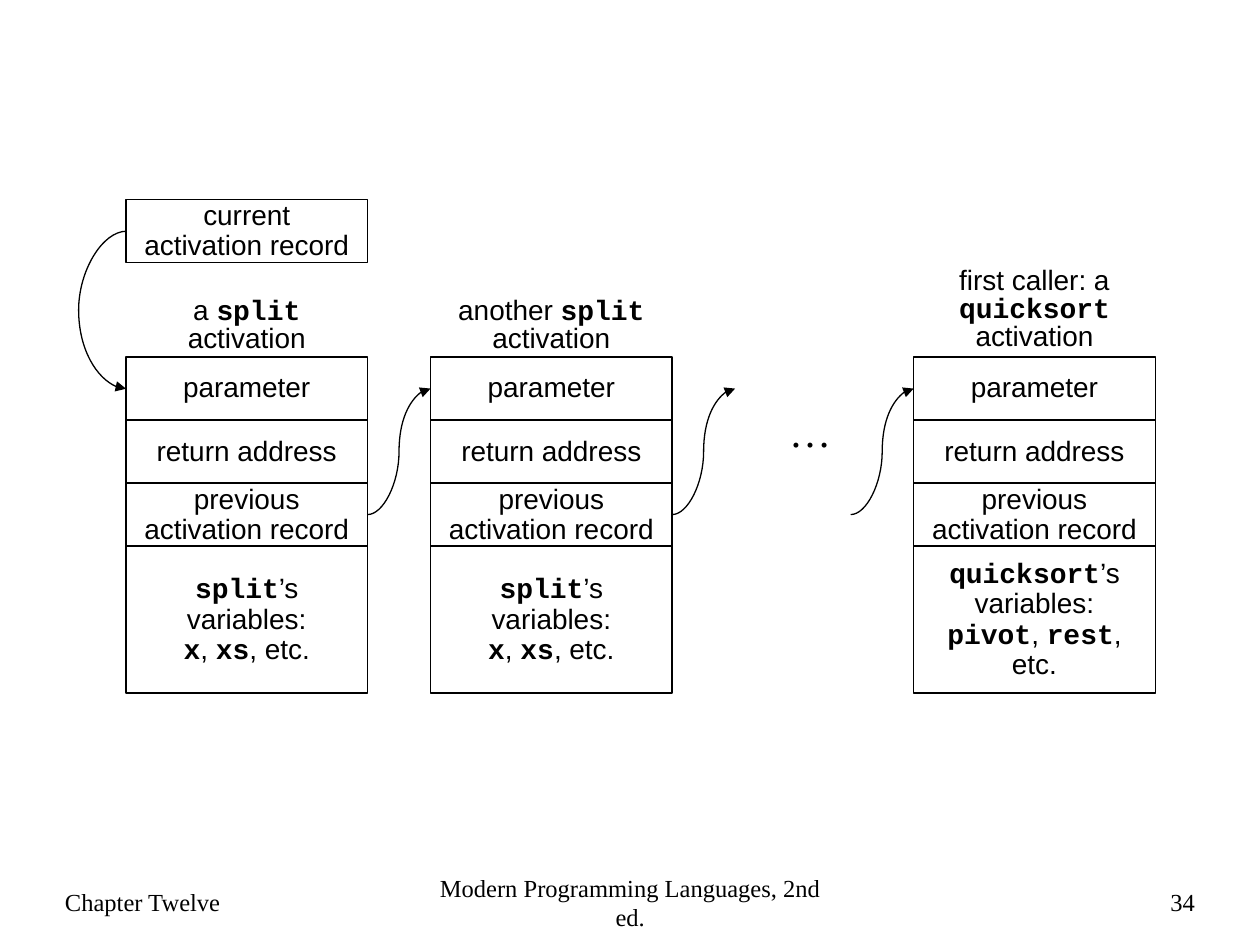
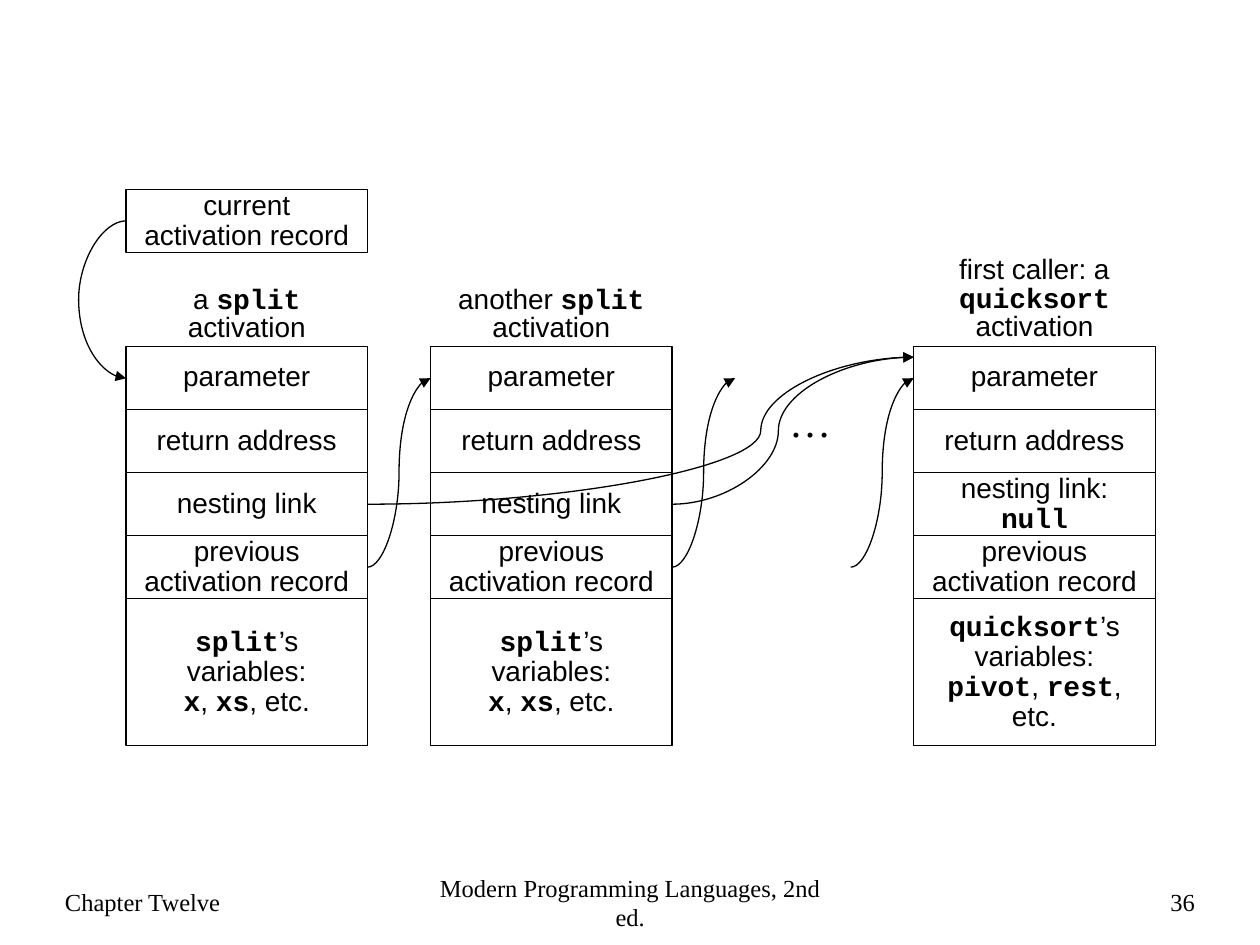
"""Build two slides of linked activation records, without and with nesting links."""
from lxml import etree
from pptx import Presentation
from pptx.dml.color import RGBColor
from pptx.enum.shapes import MSO_CONNECTOR, MSO_SHAPE
from pptx.enum.text import MSO_ANCHOR, PP_ALIGN
from pptx.oxml.ns import qn
from pptx.util import Cm, Pt

LEFT, CENTER, RIGHT = PP_ALIGN.LEFT, PP_ALIGN.CENTER, PP_ALIGN.RIGHT
TOP, MIDDLE = MSO_ANCHOR.TOP, MSO_ANCHOR.MIDDLE
RECTANGLE, CURVE = MSO_SHAPE.RECTANGLE, MSO_CONNECTOR.CURVE

INK = RGBColor(0, 0, 0)
PAPER = RGBColor(255, 255, 255)
SANS, SERIF, CODE = "Arial", "Times New Roman", "Courier New"

FIELD_WIDTH, FIELD_HEIGHT, VARIABLES_HEIGHT = 4.87, 1.27, 2.96
LINK_REACH = 1.27
HALF_FIELD = FIELD_HEIGHT / 2
TIGHT, NORMAL = 16.2, 17.2

PREVIOUS = "previous\vactivation record"
SPLIT_VARIABLES = "`split`’s\vvariables:\n`x`, `xs`, etc."
QUICKSORT_VARIABLES = "`quicksort`’s\vvariables:\n`pivot`, `rest`, etc."
RECORDS = [
    (2.54, "a `split` activation", 1.27, "nesting link", SPLIT_VARIABLES),
    (8.68, "another `split` activation", 1.27, "nesting link", SPLIT_VARIABLES),
    (18.42, "first caller: a `quicksort` activation", 1.9, "nesting link: `null`",
     QUICKSORT_VARIABLES),
]
FIRST_LEFT, SECOND_LEFT, CALLER_LEFT = [record[0] for record in RECORDS]


def write(frame, text, font=SANS, size=16, align=CENTER, anchor=MIDDLE, spacing=None):
    """Fill a text frame; backticks mark code, newlines paragraphs, \\v line breaks."""
    frame.word_wrap = True
    frame.vertical_anchor = anchor
    for index, line in enumerate(text.split("\n")):
        paragraph = frame.add_paragraph() if index else frame.paragraphs[0]
        paragraph.alignment = align
        if spacing:
            paragraph.line_spacing = Pt(spacing)
        for part, words in enumerate(line.split("`")):
            is_code = part % 2 == 1
            for row, piece in enumerate(words.split("\v")):
                if row:
                    paragraph.add_line_break()
                if piece:
                    run = paragraph.add_run()
                    run.text = piece
                    run.font.name = CODE if is_code else font
                    run.font.size = Pt(size)
                    run.font.bold = is_code
                    run.font.color.rgb = INK


class Deck:
    """Hold the presentation, its style and the current slide."""

    def __init__(self):
        self.presentation = Presentation()
        self.presentation.slide_width = Cm(25.4)
        self.presentation.slide_height = Cm(19.05)
        self.slide = None

    def start_slide(self, number):
        """Add a slide with its footer."""
        self.slide = self.presentation.slides.add_slide(self.presentation.slide_layouts[6])
        background = self.slide.background.fill
        background.solid()
        background.fore_color.rgb = PAPER
        for left, width, text, align in [
            (1.06, 5.72, "Chapter Twelve", LEFT),
            (8.47, 8.47, "Modern Programming Languages, 2nd ed.", CENTER),
            (19.05, 5.29, str(number), RIGHT),
        ]:
            self.label(left, 17.55, width, 1.27, text, font=SERIF, size=14, align=align)

    def label(self, left, top, width, height, text, **style):
        """Add free text."""
        label = self.slide.shapes.add_textbox(Cm(left), Cm(top), Cm(width), Cm(height))
        write(label.text_frame, text, **style)

    def field(self, left, top, text, height=FIELD_HEIGHT, spacing=NORMAL):
        """Add one outlined field of a record."""
        field = self.slide.shapes.add_shape(
            RECTANGLE, Cm(left), Cm(top), Cm(FIELD_WIDTH), Cm(height))
        field.shadow.inherit = False
        field.fill.background()
        field.line.color.rgb = INK
        field.line.width = Pt(0.75)
        write(field.text_frame, text, spacing=spacing)

    def link(self, start, end, bend=0.5, half_turn=False):
        """Add a curved arrow whose bend is a share of its width."""
        link = self.slide.shapes.add_connector(
            CURVE, Cm(start[0]), Cm(start[1]), Cm(end[0]), Cm(end[1]))
        link.line.color.rgb = INK
        link.line.width = Pt(0.75)
        properties = link._element.spPr
        if half_turn:
            properties.find(qn("a:xfrm")).set("rot", "10800000")
        guides = properties.find(qn("a:prstGeom")).get_or_add_avLst()
        etree.SubElement(guides, qn("a:gd"), name="adj1", fmla=f"val {round(bend * 100000)}")
        etree.SubElement(properties.find(qn("a:ln")), qn("a:tailEnd"), type="triangle")
        etree.SubElement(properties, qn("a:effectLst"))

    def record(self, left, top, title, title_height, fields, variables):
        """Add a titled column of fields."""
        self.label(left, top - title_height, FIELD_WIDTH, title_height, title, spacing=TIGHT)
        for row, text in enumerate(fields):
            self.field(left, top + row * FIELD_HEIGHT, text, spacing=NORMAL if row else TIGHT)
        self.field(left, top + len(fields) * FIELD_HEIGHT, variables, VARIABLES_HEIGHT)

    def activation_slide(self, number, top, nested):
        """Draw the chain of records, with nesting links if asked."""
        self.start_slide(number)
        current_top = top - 2.5 * FIELD_HEIGHT
        parameter_middle = top + HALF_FIELD
        self.field(FIRST_LEFT, current_top, "current\vactivation record")
        self.link((FIRST_LEFT, parameter_middle),
                  (FIRST_LEFT + 0.01, current_top + HALF_FIELD), bend=96.5, half_turn=True)

        for left, title, title_height, nesting, variables in RECORDS:
            fields = ["parameter", "return address", *([nesting] if nested else []), PREVIOUS]
            self.record(left, top, title, title_height, fields, variables)
        self.label(15.66, top + 0.85, 1.69, 1.27, "…", font=SERIF, size=24,
                   align=LEFT, anchor=TOP)

        first_right, second_right = FIRST_LEFT + FIELD_WIDTH, SECOND_LEFT + FIELD_WIDTH
        previous_middle = parameter_middle + (3 if nested else 2) * FIELD_HEIGHT
        for left in (first_right, second_right, CALLER_LEFT - LINK_REACH):
            self.link((left, previous_middle), (left + LINK_REACH, parameter_middle))
        if nested:
            nesting_middle = parameter_middle + 2 * FIELD_HEIGHT
            for left, bend in ((first_right, 0.72), (second_right, 0.44)):
                self.link((left, nesting_middle), (CALLER_LEFT, top + 0.21), bend)


deck = Deck()
deck.activation_slide(34, 7.2, nested=False)
deck.activation_slide(36, 6.99, nested=True)
deck.presentation.save("out.pptx")
